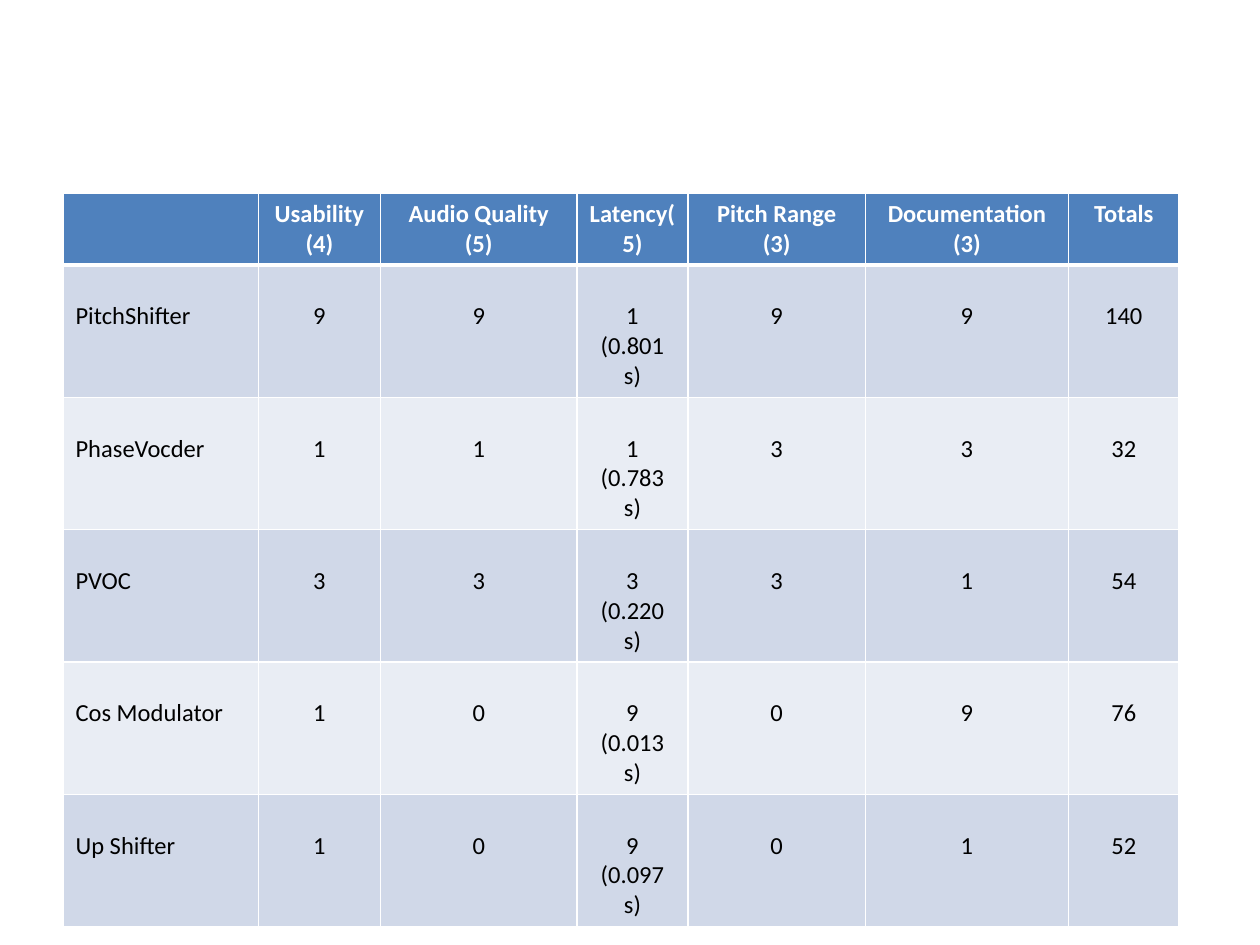
"""Build a slide with a weighted decision table of pitch shifting methods."""
from lxml import etree
from pptx import Presentation
from pptx.dml.color import RGBColor
from pptx.enum import text
from pptx.oxml.ns import qn
from pptx.util import Inches, Pt

WHITE = RGBColor(0xFF, 0xFF, 0xFF)
BLACK = RGBColor(0x00, 0x00, 0x00)
HEADER_BLUE = RGBColor(0x4F, 0x81, 0xBD)
BANDS = [RGBColor(0xD0, 0xD8, 0xE8), RGBColor(0xE9, 0xED, 0xF4)]

HEADER = ["", "Usability(4)", "Audio Quality\n(5)", "Latency(5)",
          "Pitch Range\n(3)", "Documentation\n(3)", "Totals"]
METHODS = [
    ["PitchShifter", "9", "9", "1\n(0.801 s)", "9", "9", "140"],
    ["PhaseVocder", "1", "1", "1\n(0.783 s)", "3", "3", "32"],
    ["PVOC", "3", "3", "3\n(0.220 s)", "3", "1", "54"],
    ["Cos Modulator", "1", "0", "9\n(0.013 s)", "0", "9", "76"],
    ["Up Shifter", "1", "0", "9\n(0.097 s)", "0", "1", "52"],
]
COL_WIDTHS = [1.55, 0.97, 1.56, 0.88, 1.41, 1.61, 0.88]
HEADER_HEIGHT, ROW_HEIGHT = 0.44, 0.8
HEADER_MARGIN, ROW_MARGIN = 0.05, 0.29


def set_borders(cell, bottom):
    """Draw white cell borders, with the bottom one in the given width."""
    tc_pr = cell._tc.get_or_add_tcPr()
    for side, width in (("L", 1), ("R", 1), ("T", 1), ("B", bottom)):
        ln = etree.SubElement(tc_pr, qn(f"a:ln{side}"), w=str(Pt(width)))
        fill = etree.SubElement(ln, qn("a:solidFill"))
        etree.SubElement(fill, qn("a:srgbClr"), val=str(WHITE))


def fill_cell(cell, words, row, col):
    """Write and style one cell."""
    is_header = row == 0
    set_borders(cell, 3 if is_header else 1)
    cell.fill.solid()
    cell.fill.fore_color.rgb = HEADER_BLUE if is_header else BANDS[(row - 1) % 2]
    cell.margin_top = Inches(HEADER_MARGIN if is_header else ROW_MARGIN)
    cell.text_frame.text = words
    for p in cell.text_frame.paragraphs:
        p.alignment = text.PP_ALIGN.CENTER if is_header or col else text.PP_ALIGN.LEFT
        p.font.size = Pt(14)
        for r in p.runs:
            r.font.name = "Calibri"
            r.font.size = Pt(14)
            r.font.bold = is_header
            r.font.color.rgb = WHITE if is_header else BLACK


prs = Presentation()
prs.slide_width, prs.slide_height = Inches(10), Inches(7.5)
s = prs.slides.add_slide(prs.slide_layouts[6])

rows = [HEADER] + METHODS
heights = [HEADER_HEIGHT] + [ROW_HEIGHT] * len(METHODS)
table = s.shapes.add_table(len(rows), len(HEADER), Inches(0.5), Inches(1.53),
                           Inches(sum(COL_WIDTHS)), Inches(sum(heights))).table
for column, width in zip(table.columns, COL_WIDTHS):
    column.width = Inches(width)
for i, (words, height) in enumerate(zip(rows, heights)):
    table.rows[i].height = Inches(height)
    for j, word in enumerate(words):
        fill_cell(table.cell(i, j), word, i, j)

prs.save("out.pptx")
